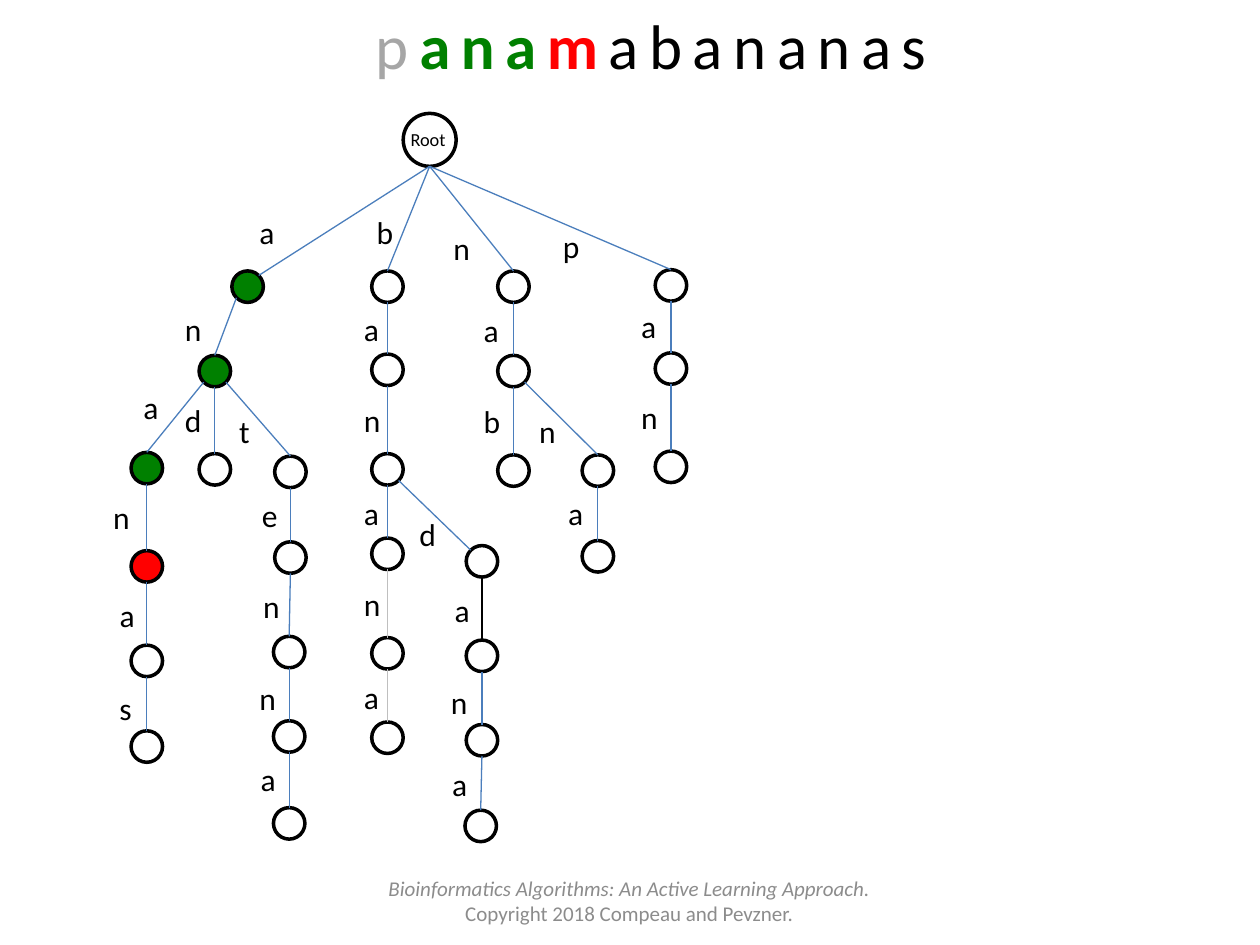
from math import sqrt

from lxml.etree import SubElement
from pptx import Presentation
from pptx.dml.color import RGBColor
from pptx.enum.shapes import MSO_CONNECTOR as Connector, MSO_SHAPE as Shape
from pptx.enum.text import MSO_ANCHOR as Anchor, MSO_AUTO_SIZE as AutoSize, PP_ALIGN as Align
from pptx.oxml.ns import qn
from pptx.util import Inches, Pt

COLORS = {
    "black": "000000", "white": "FFFFFF", "green": "008000", "red": "FF0000",
    "blue": "4B7EBC", "silver": "BFBFBF", "gray": "A6A6A6", "footer": "8C8C8C",
}
CELL = 0.1  # inches; the slide is a grid of 100 columns by 75 rows
NODE, ROOT = 2.5, 4.2  # circle diameters in cells
LETTER_WIDTHS = {"a": 3.2, "e": 3.3, "s": 3, "t": 2.9}

# Each prefix in the trie: circle centre, then left and top of its edge label
TRIE = {
    "a": (19.65, 22.75, 19.6, 16.4),
    "an": (17.05, 29.45, 13.7, 24.1),
    "ana": (11.65, 37.15, 10.4, 30.3),
    "anan": (11.65, 44.95, 8, 39),
    "anana": (11.65, 52.45, 8.5, 46.8),
    "ananas": (11.65, 59.25, 8.5, 54.2),
    "and": (17.05, 37.25, 13.7, 31.3),
    "ant": (23.05, 37.45, 18, 32.2),
    "ante": (23.05, 44.25, 19.8, 38.9),
    "anten": (22.95, 51.75, 19.9, 46.1),
    "antenn": (22.95, 58.45, 19.6, 53.4),
    "antenna": (22.95, 65.35, 19.7, 59.8),
    "b": (30.75, 22.75, 28.9, 16.4),
    "ba": (30.75, 29.35, 27.9, 24.1),
    "ban": (30.75, 37.25, 27.9, 31.3),
    "bana": (30.75, 43.95, 27.9, 38.7),
    "banan": (30.75, 51.85, 27.9, 45.9),
    "banana": (30.75, 58.55, 27.9, 53.3),
    "band": (38.25, 44.55, 32.3, 40.4),
    "banda": (38.25, 52.05, 35.1, 46.4),
    "bandan": (38.25, 58.75, 34.8, 53.7),
    "bandana": (38.15, 65.55, 34.9, 60.2),
    "n": (40.75, 22.75, 35, 17.7),
    "na": (40.75, 29.45, 37.4, 24.2),
    "nab": (40.75, 37.35, 37.4, 31.4),
    "nan": (47.45, 37.35, 41.8, 32.2),
    "nana": (47.45, 44.15, 44.1, 38.7),
    "p": (53.25, 22.65, 43.7, 17.5),
    "pa": (53.25, 29.25, 49.9, 23.9),
    "pan": (53.25, 37.05, 49.9, 31.1),
}
ROOT_CENTER = (34.1, 11.1)
NODE_FILLS = {"a": "green", "an": "green", "ana": "green", "anan": "red"}
EDGE_COLORS = {"banan": "silver", "banana": "silver", "banda": "black"}
SIDE_ENTRIES = {"a", "band"}  # edges that meet the child on its shoulder


def cells(*counts):
    return [Inches(count * CELL) for count in counts]


def color(name):
    return RGBColor.from_string(COLORS[name])


class TrieSlide:
    font = "Calibri"

    def __init__(self, deck):
        self.slide = deck.slides.add_slide(deck.slide_layouts[5])
        self.shapes = self.slide.shapes

    def span(self, para, text, size, ink="black", bold=False, italic=False, spacing=0):
        span = para.add_run()
        span.text = text
        span.font.name, span.font.size = self.font, Pt(size)
        span.font.bold, span.font.italic = bold, italic
        span.font.color.rgb = color(ink)
        if spacing:
            span.font._element.set("spc", str(spacing * 100))

    def title(self, at, spans):
        box = self.shapes.title
        box.left, box.top, box.width, box.height = cells(*at)
        frame = box.text_frame
        frame.vertical_anchor, frame.auto_size = Anchor.TOP, AutoSize.SHAPE_TO_FIT_TEXT
        para = frame.paragraphs[0]
        para.alignment = Align.CENTER
        for text, ink, bold in spans:
            self.span(para, text, 36, ink, bold, spacing=6)

    def text(self, at, lines, size, ink="black", wrap=True, align=Align.LEFT,
             anchor=Anchor.TOP, fit=AutoSize.SHAPE_TO_FIT_TEXT):
        frame = self.shapes.add_textbox(*cells(*at)).text_frame
        frame.word_wrap, frame.auto_size, frame.vertical_anchor = wrap, fit, anchor
        for index, (text, italic) in enumerate(lines):
            para = frame.add_paragraph() if index else frame.paragraphs[0]
            para.alignment = align
            self.span(para, text, size, ink, italic=italic)

    def node(self, center, diameter, fill="white"):
        x, y = center
        node = self.shapes.add_shape(
            Shape.OVAL, *cells(x - diameter / 2, y - diameter / 2, diameter, diameter))
        node.shadow.inherit = False
        node.fill.solid()
        node.fill.fore_color.rgb = color(fill)
        node.line.color.rgb, node.line.width = color("black"), Pt(2)

    def edge(self, start, end, ink):
        edge = self.shapes.add_connector(Connector.STRAIGHT, *cells(*start, *end))
        edge.line.color.rgb, edge.line.width = color(ink), Pt(0.75)
        SubElement(edge._element.spPr, qn("a:effectLst"))

    def branch(self, prefix):
        """Draw the child circle, the edge from its parent and the edge letter."""
        x, y, left, top = TRIE[prefix]
        parent, letter = prefix[:-1], prefix[-1]
        parent_x, parent_y = TRIE[parent][:2] if parent else ROOT_CENTER
        shift = x - parent_x
        side = (shift > 0) - (shift < 0)
        shoulder = NODE / 2 / sqrt(2)

        if parent and abs(shift) > 0.5:
            start = (parent_x + side * shoulder, parent_y + shoulder)
        else:
            start = (parent_x, parent_y + (NODE if parent else ROOT) / 2)
        if prefix in SIDE_ENTRIES:
            end = (x - side * shoulder, y - shoulder)
        else:
            end = (x, y - NODE / 2)

        self.node((x, y), NODE, NODE_FILLS.get(prefix, "white"))
        self.edge(start, end, EDGE_COLORS.get(prefix, "blue"))
        self.text((left, top, LETTER_WIDTHS.get(letter, 3.4), 4), [(letter, False)], 18,
                  wrap=False)


def main():
    deck = Presentation()
    deck.slide_width, deck.slide_height = cells(100, 75)
    page = TrieSlide(deck)

    # Text being matched
    page.title((26.7, 0, 50, 7.1), [
        ("p", "gray", False), ("ana", "green", True),
        ("m", "red", True), ("abananas", "black", False)])

    # Trie
    page.node(ROOT_CENTER, ROOT)
    page.text((31.6, 9.7, 5.5, 2.8), [("Root", False)], 10.5)
    for prefix in TRIE:
        page.branch(prefix)

    # Footer
    page.text((28.3, 69.5, 43.3, 4), [
        ("Bioinformatics Algorithms: An Active Learning Approach.", True),
        ("Copyright 2018 Compeau and Pevzner.", False),
    ], 12, "footer", align=Align.CENTER, anchor=Anchor.MIDDLE, fit=AutoSize.NONE)

    deck.save("out.pptx")


if __name__ == "__main__":
    main()
